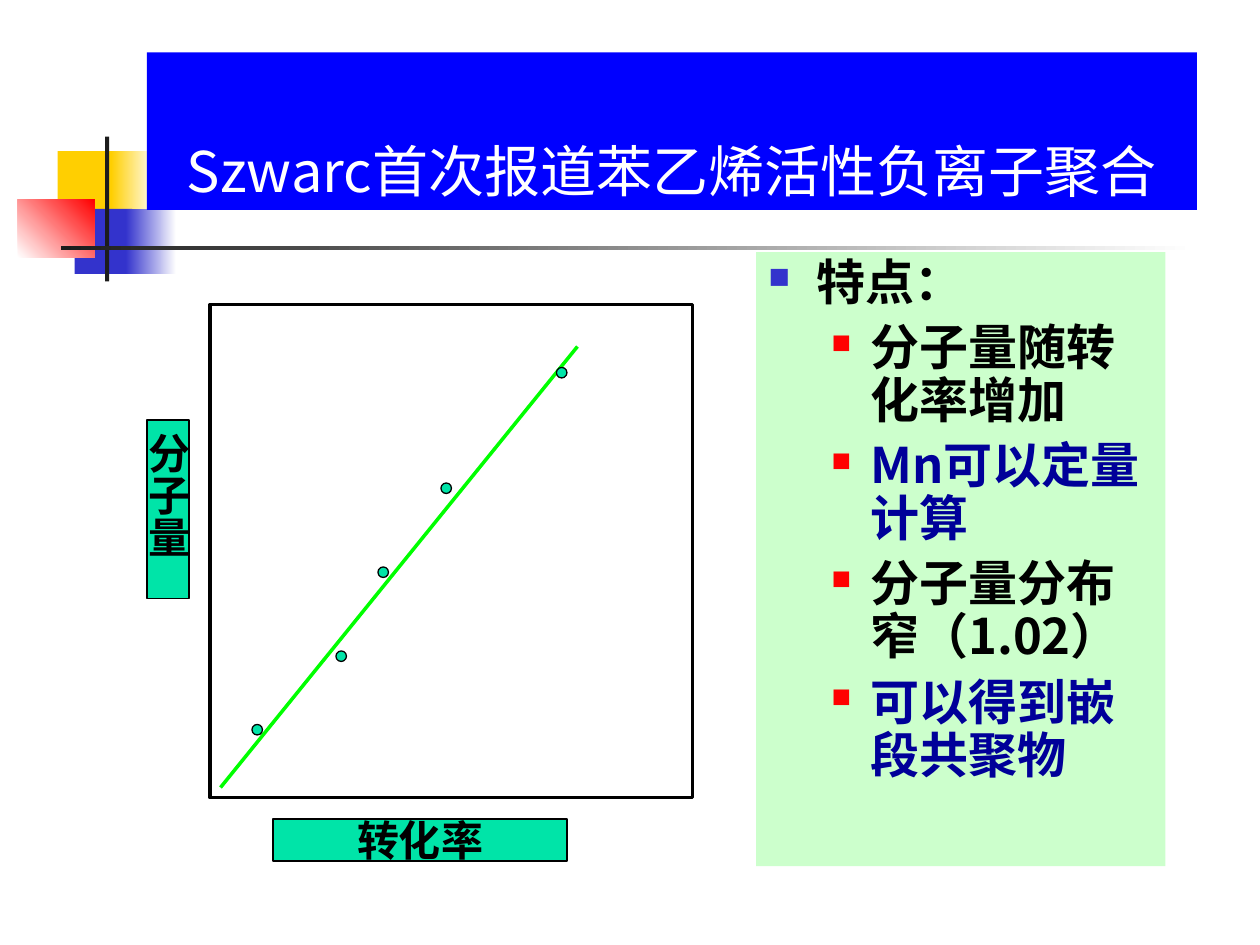
import pptx
import pptx.util
import pptx.dml.color
import pptx.enum.shapes
import pptx.enum.text
import pptx.oxml.ns
from dataclasses import dataclass
from lxml import etree

CELL = 1 / 12  # grid step in inches: the slide is 120 columns by 90 rows
SHAPE = pptx.enum.shapes.MSO_SHAPE
ANCHOR = pptx.enum.text.MSO_ANCHOR
ALIGN = pptx.enum.text.PP_ALIGN


@dataclass(frozen=True)
class Theme:
    white: str = "FFFFFF"
    black: str = "000000"
    ink: str = "1C1C1C"
    yellow: str = "FFCF01"
    indigo: str = "3333CC"
    red: str = "FF0000"
    title_fill: str = "0000FF"
    panel_fill: str = "CCFFCC"
    label_fill: str = "00E4A8"
    trend: str = "00FF00"
    accent: str = "000099"
    sans: str = "Noto Sans CJK SC"
    serif: str = "Times New Roman"
    title_size: int = 32
    body_size: int = 28
    label_size: int = 24


THEME = Theme()


def grid(cells):
    return pptx.util.Inches(cells * CELL)


def rgb(code):
    return pptx.dml.color.RGBColor.from_string(code)


def add_child(parent, tag, **attributes):
    return etree.SubElement(parent, pptx.oxml.ns.qn(tag), attributes)


def add_box(page, place, fill=None, line=None, width=0.75, kind=SHAPE.RECTANGLE):
    box = page.shapes.add_shape(kind, *map(grid, place))
    box.shadow.inherit = False
    if fill:
        box.fill.solid()
        box.fill.fore_color.rgb = rgb(fill)
    else:
        box.fill.background()
    if line:
        box.line.color.rgb = rgb(line)
        box.line.width = pptx.util.Pt(width)
    else:
        box.line.fill.background()
    return box


def add_fade(page, place, start, end, angle=0):
    box = add_box(page, place)
    box.fill.gradient()
    box.fill.gradient_angle = angle
    for stop, colour in zip(box.fill.gradient_stops, (start, end)):
        stop.color.rgb = rgb(colour)


def style_runs(para, size, colour, font, bold=False):
    for span in para.runs:
        span.font.size = pptx.util.Pt(size)
        span.font.bold = bold
        span.font.name = font
        span.font.color.rgb = rgb(colour)
        add_child(span.font._element, "a:ea", typeface=THEME.sans)


def add_bullet(para, margin, hanging, colour, percent):
    properties = para._p.get_or_add_pPr()
    properties.set("marL", str(pptx.util.Inches(margin)))
    properties.set("indent", str(-pptx.util.Inches(hanging)))
    add_child(add_child(properties, "a:buClr"), "a:srgbClr", val=colour)
    add_child(properties, "a:buSzPct", val=str(percent * 1000))
    add_child(properties, "a:buChar", char="■")


def add_ornament(page):
    add_box(page, (5.5, 14.4, 5.8, 6.2), THEME.yellow)
    add_fade(page, (10.6, 14.4, 4.3, 6.2), THEME.yellow, THEME.white)
    add_box(page, (7.1, 19.9, 5.5, 6.2), THEME.indigo)
    add_fade(page, (12, 19.9, 4.8, 6.2), THEME.indigo, THEME.white)
    add_fade(page, (1.7, 19, 7.3, 5.5), THEME.white, THEME.red, angle=45)
    add_box(page, (10, 13, 0.4, 13.8), THEME.ink)
    add_fade(page, (5.8, 23.4, 108, 0.4), THEME.ink, THEME.white)


def add_title(page, text):
    box = add_box(page, (14, 5, 100, 15), THEME.title_fill)
    frame = box.text_frame
    frame.text = text
    frame.word_wrap = True
    frame.vertical_anchor = ANCHOR.BOTTOM
    para = frame.paragraphs[0]
    para.alignment = ALIGN.CENTER
    style_runs(para, THEME.title_size, THEME.white, THEME.sans)


def add_features(page, heading, features):
    frame = add_box(page, (72, 24, 39, 58.5), THEME.panel_fill).text_frame
    frame.word_wrap = True
    frame.vertical_anchor = ANCHOR.TOP
    frame.text = "\n".join([heading, *features])
    for index, para in enumerate(frame.paragraphs):
        para.alignment = ALIGN.LEFT
        para.line_spacing = 0.9
        if index == 0:
            add_bullet(para, 0.38, 0.38, THEME.indigo, 60)
        else:
            para.level = 1
            para.space_before = pptx.util.Pt(7)
            add_bullet(para, 0.81, 0.31, THEME.red, 55)
        # Every second feature is highlighted
        highlighted = index > 0 and index % 2 == 0
        colour = THEME.accent if highlighted else THEME.black
        style_runs(para, THEME.body_size, colour, THEME.sans, bold=True)


def add_axis_label(page, place, text, vertical=False):
    frame = add_box(page, place, THEME.label_fill, THEME.black).text_frame
    frame.text = text
    frame.word_wrap = False
    frame.vertical_anchor = ANCHOR.MIDDLE
    if vertical:
        frame._txBody.bodyPr.set("vert", "eaVert")
        frame.margin_left = frame.margin_right = pptx.util.Inches(0.05)
        frame.margin_top = frame.margin_bottom = pptx.util.Inches(0.1)
    para = frame.paragraphs[0]
    para.alignment = ALIGN.CENTER
    style_runs(para, THEME.label_size, THEME.black, THEME.serif, bold=True)


def add_trend(page, start, end):
    line = page.shapes.add_connector(
        pptx.enum.shapes.MSO_CONNECTOR.STRAIGHT, *map(grid, start + end))
    line.line.color.rgb = rgb(THEME.trend)
    line.line.width = pptx.util.Pt(2)
    add_child(line._element.spPr, "a:effectLst")


def add_plot(page):
    add_box(page, (20, 29, 46, 47), line=THEME.black, width=1.75)
    add_trend(page, (21, 75), (55, 33))
    add_axis_label(page, (14, 40, 4, 17), "分子量", vertical=True)
    add_axis_label(page, (26, 78, 28, 4), "转化率")
    for column, row in ((53, 35), (42, 46), (36, 54), (32, 62), (24, 69)):
        add_box(page, (column, row, 1, 1), THEME.label_fill, THEME.black, kind=SHAPE.OVAL)


def main():
    deck = pptx.Presentation()
    deck.slide_width, deck.slide_height = grid(120), grid(90)
    page = deck.slides.add_slide(deck.slide_layouts[6])
    add_ornament(page)
    add_title(page, "Szwarc首次报道苯乙烯活性负离子聚合")
    add_features(page, "特点：", [
        "分子量随转化率增加",
        "Mn可以定量计算",
        "分子量分布窄（1.02）",
        "可以得到嵌段共聚物",
    ])
    add_plot(page)
    deck.save("out.pptx")


if __name__ == "__main__":
    main()
